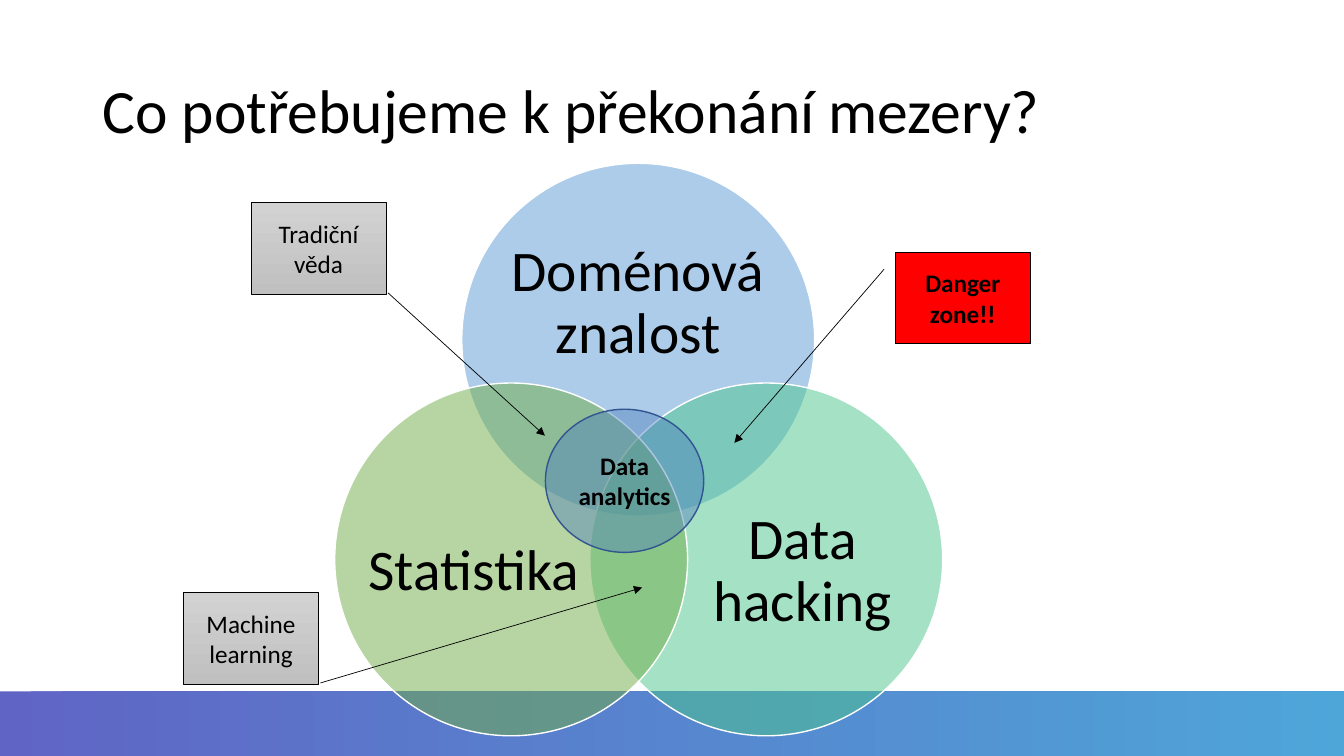
from lxml.etree import SubElement
from pptx import Presentation
from pptx.dml.color import RGBColor
from pptx.enum.shapes import MSO_SHAPE
from pptx.enum.text import MSO_ANCHOR, PP_ALIGN
from pptx.oxml.ns import qn
from pptx.util import Inches, Pt

# Content
TITLE = "Co potřebujeme k překonání mezery?"
SIZE = 3.5
# circle left, top, colour, then label text and box
CIRCLES = [
    (4.58, 1.62, "5B9BD5", "Doménová znalost", (5.05, 2.23, 2.56, 1.57)),
    (5.85, 3.8, "4DC58D", "Data hacking", (6.91, 4.71, 2.1, 1.92)),
    (3.32, 3.8, "70AD47", "Statistika", (3.65, 4.71, 2.1, 1.92)),
]
GREY = ("D2D2D2", "C0C0C0")
# text, left, top, fill, bold, pointer start and end (y, x as shares of the box)
NOTES = [
    ("Tradiční věda", 2.49, 2.01, GREY, False, (0.984, 1.014, 2.542, 2.175)),
    ("Danger zone!!", 8.88, 2.5, ("FF0000",), True, (0.188, -0.083, 2.081, -1.191)),
    ("Machine learning", 1.82, 5.88, GREY, False, (0.984, 1.014, -0.056, 3.395)),
]
CORE = "Data analytics"

deck = Presentation()
deck.slide_width, deck.slide_height = Inches(13.33), Inches(7.5)
slide = deck.slides.add_slide(deck.slide_layouts[6])


def tint(color, code):
    color.rgb = RGBColor.from_string(code)


def paint(shape, codes, alpha=100, angle=0):
    """Fill with one colour, or with a gradient of two."""
    if len(codes) == 1:
        shape.fill.solid()
        tint(shape.fill.fore_color, codes[0])
    else:
        shape.fill.gradient()
        shape.fill.gradient_angle = angle
        for stop, code in zip(shape.fill.gradient_stops, codes):
            tint(stop.color, code)
    if alpha < 100:
        for node in shape.element.spPr.iter(qn("a:srgbClr")):
            SubElement(node, qn("a:alpha"), val=str(alpha * 1000))


def draw(kind, box, codes, alpha=100, angle=0, edge=None, width=1):
    shape = slide.shapes.add_shape(kind, *map(Inches, box))
    shape.shadow.inherit = False
    paint(shape, codes, alpha, angle)
    if edge:
        tint(shape.line.color, edge)
        shape.line.width = Pt(width)
    else:
        shape.line.fill.background()
    return shape


def write(shape, text, size, bold=False, align=PP_ALIGN.CENTER, inset=0.1, space=1.0):
    frame = shape.text_frame
    frame.word_wrap = True
    frame.vertical_anchor = MSO_ANCHOR.MIDDLE
    frame.margin_left = frame.margin_right = Inches(inset)
    para = frame.paragraphs[0]
    para.text, para.alignment, para.line_spacing = text, align, space
    para.font.name, para.font.size, para.font.bold = "Calibri", Pt(size), bold
    tint(para.font.color, "000000")


def label(box, text, size, **style):
    write(slide.shapes.add_textbox(*map(Inches, box)), text, size, space=0.9, **style)


# Bottom band and title
draw(MSO_SHAPE.RECTANGLE, (0, 6.86, 13.33, 0.64), ("2B32B2", "1488CC"), alpha=75)
label((0.92, 0.4, 11.5, 1.45), TITLE, 44, align=PP_ALIGN.LEFT)

# Three overlapping circles
for left, top, code, text, box in CIRCLES:
    draw(MSO_SHAPE.OVAL, (left, top, SIZE, SIZE), (code,), alpha=50, edge="FFFFFF")
    label(box, text, 41, inset=0)

# Callouts with arrows to the overlaps
for text, left, top, codes, bold, aim in NOTES:
    note = draw(MSO_SHAPE.LINE_CALLOUT_1, (left, top, 1.34, 0.91), codes,
                angle=270, edge="000000", width=0.5)
    for i, share in enumerate(aim):
        note.adjustments[i] = share
    SubElement(note.element.spPr.find(qn("a:ln")), qn("a:tailEnd"), type="triangle")
    write(note, text, 18, bold)

# Centre
core = draw(MSO_SHAPE.OVAL, (5.41, 4.06, 1.57, 1.42), ("4F81BD",), alpha=45, edge="325491")
write(core, CORE, 18, bold=True, inset=0.05)

deck.save("out.pptx")
